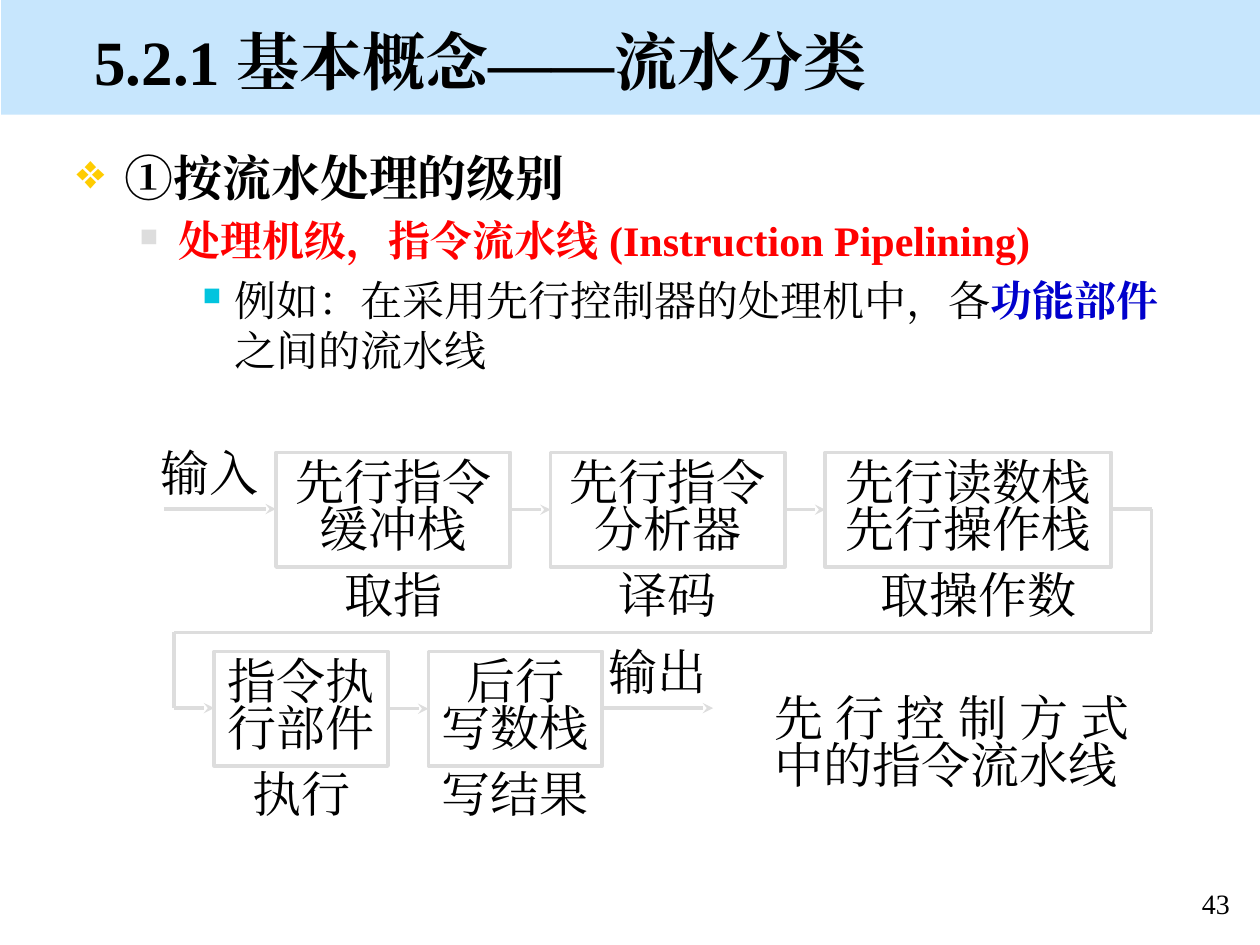
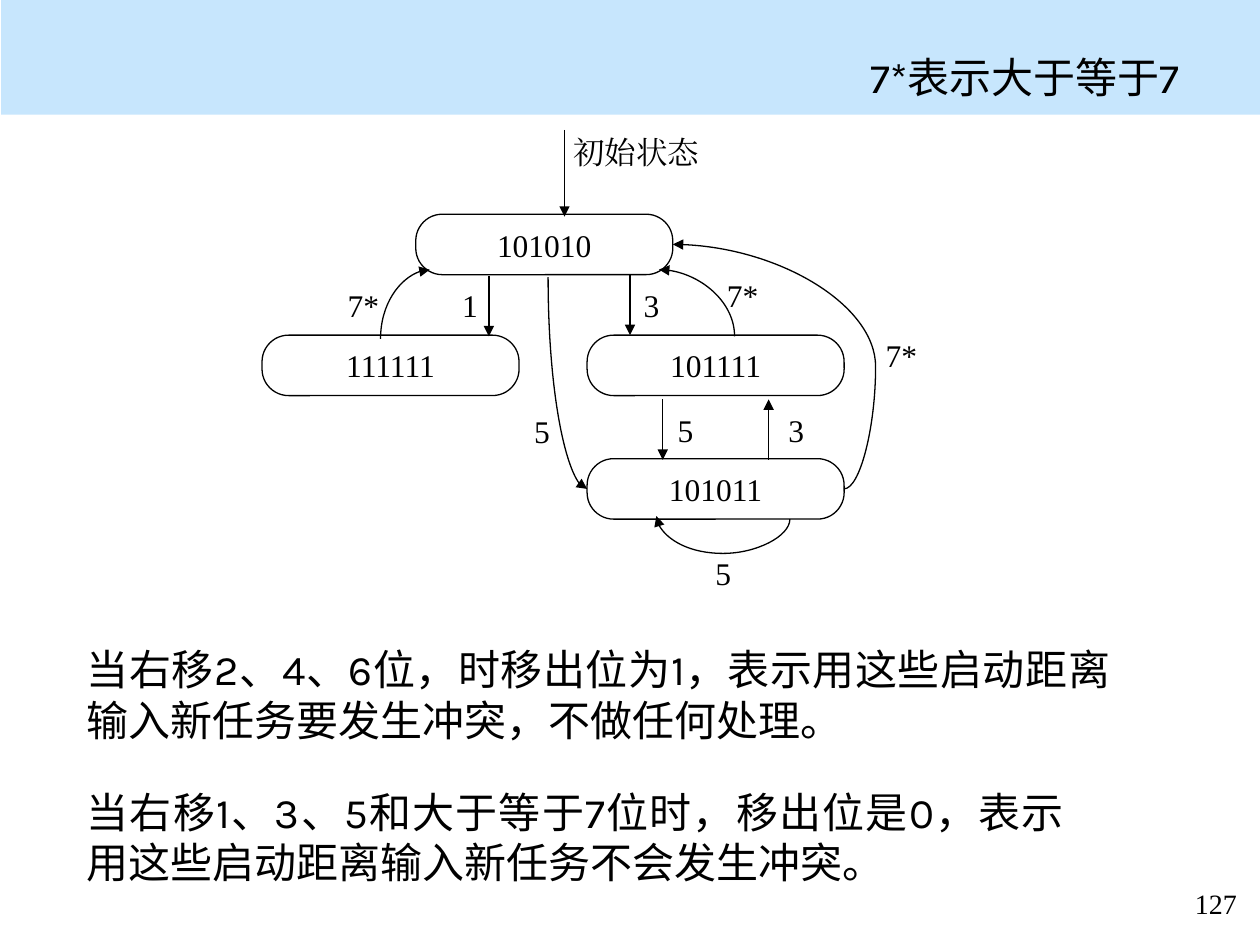
import math

import pptx
import pptx.dml.color
import pptx.enum.shapes
import pptx.enum.text
import pptx.oxml
import pptx.oxml.ns
import pptx.util

COLUMNS, ROWS = 100, 75
COLORS = {
    "band": "C7E6FD", "ink": "000000", "rule": "DDDDDD", "gold": "FFCC00",
    "cyan": "02C4DE", "red": "FF0000", "blue": "0000CC",
}
SERIF, BOOK, SANS, CJK = "Times New Roman", "TeX Gyre Pagella", "Karla", "Noto Sans CJK SC"
ALIGN = {
    "left": pptx.enum.text.PP_ALIGN.LEFT, "center": pptx.enum.text.PP_ALIGN.CENTER,
    "justify": pptx.enum.text.PP_ALIGN.JUSTIFY,
}
SHAPES = pptx.enum.shapes.MSO_SHAPE
CONNECTORS = pptx.enum.shapes.MSO_CONNECTOR


def rgb(name):
    return pptx.dml.color.RGBColor.from_string(COLORS[name])


def add_xml(parent, tag, **attributes):
    child = pptx.oxml.parse_xml(f"<a:{tag} {pptx.oxml.ns.nsdecls('a')}/>")
    for key, value in attributes.items():
        child.set(key, str(value))
    parent.append(child)
    return child


def write(paragraph, text, font=SERIF, size=18, color="ink", bold=False,
          east=None, align=None, spacing=None):
    """Add text to a paragraph; a newline becomes a line break."""
    if align:
        paragraph.alignment = ALIGN[align]
    if spacing:
        paragraph.line_spacing = spacing
    for number, line in enumerate(text.split("\n")):
        if number:
            paragraph.add_line_break()
        run = paragraph.add_run()
        run.text = line
        run.font.name = font
        run.font.size = pptx.util.Pt(size)
        run.font.bold = bold
        run.font.color.rgb = rgb(color)
        add_xml(run.font._element, "ea", typeface=east or font)


class Deck:
    def __init__(self):
        self.show = pptx.Presentation()
        self.show.slide_width = pptx.util.Inches(10)
        self.show.slide_height = pptx.util.Inches(7.5)
        self.slide = None

    def x(self, columns):
        return round(self.show.slide_width * columns / COLUMNS)

    def y(self, rows):
        return round(self.show.slide_height * rows / ROWS)

    def place(self, left, top, width, height):
        return self.x(left), self.y(top), self.x(width), self.y(height)

    def new_slide(self, number):
        """Blank slide with the shared band and page number."""
        self.slide = self.show.slides.add_slide(self.show.slide_layouts[6])
        self.box((0.1, 0, 99.9, 9.1), fill="band")
        self.text((93, 69.9, 7, 3.3), str(number), size=16, align="center")

    def frame(self, shape, wrap, middle, grow, inset):
        frame = shape.text_frame
        frame.word_wrap = wrap
        anchors = pptx.enum.text.MSO_ANCHOR
        frame.vertical_anchor = anchors.MIDDLE if middle else anchors.TOP
        sizes = pptx.enum.text.MSO_AUTO_SIZE
        frame.auto_size = sizes.SHAPE_TO_FIT_TEXT if grow else sizes.NONE
        frame.margin_left = frame.margin_right = self.x(inset)
        frame.margin_top = frame.margin_bottom = self.y(inset / 2)
        return frame

    def text(self, area, text="", wrap=True, middle=False, grow=False, inset=1, **style):
        shape = self.slide.shapes.add_textbox(*self.place(*area))
        frame = self.frame(shape, wrap, middle, grow, inset)
        if text:
            write(frame.paragraphs[0], text, **style)
        return frame

    def box(self, area, text="", fill=None, line=None, weight=1, corner=None,
            inset=1, **style):
        kind = SHAPES.RECTANGLE if corner is None else SHAPES.ROUNDED_RECTANGLE
        shape = self.slide.shapes.add_shape(kind, *self.place(*area))
        shape.shadow.inherit = False
        if corner is not None:
            shape.adjustments[0] = corner
        if fill:
            shape.fill.solid()
            shape.fill.fore_color.rgb = rgb(fill)
        else:
            shape.fill.background()
        if line:
            shape.line.color.rgb = rgb(line)
            shape.line.width = pptx.util.Pt(weight)
        else:
            shape.line.fill.background()
        if text:
            frame = self.frame(shape, False, True, False, inset)
            write(frame.paragraphs[0], text, align="center", **style)

    def line(self, start, end, color="ink", weight=0.75, arrow="triangle",
             kind=CONNECTORS.STRAIGHT):
        connector = self.slide.shapes.add_connector(
            kind, self.x(start[0]), self.y(start[1]), self.x(end[0]), self.y(end[1]))
        connector.line.color.rgb = rgb(color)
        connector.line.width = pptx.util.Pt(weight)
        properties = connector._element.spPr
        if arrow:
            outline = properties.find(pptx.oxml.ns.qn("a:ln"))
            add_xml(outline, "tailEnd", type=arrow)
        add_xml(properties, "effectLst")
        return properties

    def curve(self, start, end, turn=0, bulge=None):
        """Curved arrow leaving start in direction turn (degrees clockwise).

        With a bulge it first swings that far beyond start, then comes back.
        """
        middle_x, middle_y = (start[0] + end[0]) / 2, (start[1] + end[1]) / 2
        cos, sin = math.cos(math.radians(turn)), math.sin(math.radians(turn))
        dx, dy = start[0] - middle_x, start[1] - middle_y
        # The connector is stored unturned, about the same centre
        ux, uy = dx * cos + dy * sin, dy * cos - dx * sin
        properties = self.line((middle_x + ux, middle_y + uy),
                               (middle_x - ux, middle_y - uy), kind=CONNECTORS.CURVE)
        properties.find(pptx.oxml.ns.qn("a:xfrm")).set("rot", str(turn * 60000))
        geometry = properties.find(pptx.oxml.ns.qn("a:prstGeom"))
        if bulge is None:
            geometry.set("prst", "curvedConnector2")
            return
        guides = geometry.find(pptx.oxml.ns.qn("a:avLst"))
        if guides is None:
            guides = add_xml(geometry, "avLst")
        share = round(-bulge / abs(2 * ux) * 100000)
        add_xml(guides, "gd", name="adj1", fmla=f"val {share}")

    def outline(self, area, points):
        """Bulleted list; each point is (mark, mark style, indents, runs)."""
        frame = self.text(area)
        for number, (mark, color, percent, left, hang, runs) in enumerate(points):
            paragraph = frame.add_paragraph() if number else frame.paragraphs[0]
            paragraph.level = number
            if number:
                paragraph.space_before = pptx.util.Pt(5)
            properties = paragraph._p.get_or_add_pPr()
            properties.set("marL", str(self.x(left)))
            properties.set("indent", str(-self.x(hang)))
            add_xml(add_xml(properties, "buClr"), "srgbClr", val=COLORS[color])
            add_xml(properties, "buSzPct", val=percent * 1000)
            add_xml(properties, "buChar", char=mark)
            for text, style in runs:
                write(paragraph, text, east=SERIF, **style)


# Instruction pipeline parts
LABEL = dict(font=BOOK, size=28, spacing=0.8, inset=0.8)
RULE = dict(color="rule", weight=2)
STAGE_HEIGHT, STAGE_GAP = 9.1, 3.2


def label(deck, area, text, align="center"):
    deck.text(area, text, wrap=False, middle=True, align=align, **LABEL)


def stage_row(deck, left, top, stages):
    """Stages side by side with arrows between and captions below."""
    middle = top + STAGE_HEIGHT / 2
    for number, (unit, step, width, shift) in enumerate(stages):
        if number:
            deck.line((left - STAGE_GAP, middle), (left, middle), arrow="stealth", **RULE)
        deck.box((left, top, width, STAGE_HEIGHT), unit, line="rule", weight=2, **LABEL)
        label(deck, (left + shift, top + 9, width, 5.3), step)
        left += width + STAGE_GAP


def pipeline_slide(deck):
    deck.new_slide(43)
    deck.text((6.5, 1.3, 85.8, 6.7), "5.2.1 基本概念——流水分类", size=36, bold=True)
    plain = dict(font=CJK, size=24)
    deck.outline((5.1, 11.2, 90, 20.2), [
        ("❖", "gold", 100, 3.8, 3.8, [
            ("①", dict(font="Calibri", size=28, bold=True)),
            ("按流水处理的级别", dict(size=28, bold=True))]),
        ("■", "rule", 60, 8.1, 3.1, [
            ("处理机级，指令流水线 (Instruction Pipelining)",
             dict(size=24, color="red", bold=True))]),
        ("■", "cyan", 60, 12.5, 2.5, [
            ("例如：在采用先行控制器的处理机中，各", plain),
            ("功能部件", dict(plain, color="blue", bold=True)),
            ("之间的流水线", plain)]),
    ])

    # Stages
    stage_row(deck, 21.9, 35.9, [
        ("先行指令\n缓冲栈", "取指", 18.6, 0),
        ("先行指令\n分析器", "译码", 18.6, 0),
        ("先行读数栈\n先行操作栈", "取操作数", 22.7, 0.8)])
    stage_row(deck, 17, 51.7, [
        ("指令执\n行部件", "执行", 13.8, 0),
        ("后行\n写数栈", "写结果", 13.8, 0)])

    # Input, return path to the second row, output
    label(deck, (11.4, 35.2, 10.5, 5.3), "输入")
    deck.line((13, 40.4), (21.9, 40.4), arrow="stealth", **RULE)
    path_back = [(88.1, 40.4), (91.4, 40.4), (91.4, 50.2), (13.8, 50.2),
                 (13.8, 56.2), (17, 56.2)]
    for start, end in zip(path_back, path_back[1:]):
        deck.line(start, end, arrow="stealth" if end == path_back[-1] else None, **RULE)
    label(deck, (46.9, 51, 10.5, 5.3), "输出")
    deck.line((47.7, 56.2), (56.6, 56.2), arrow="stealth", **RULE)
    label(deck, (60.7, 54.7, 30.7, 9), "先行控制方式\n中的指令流水线", align="justify")


def state_slide(deck):
    deck.new_slide(127)
    deck.text((68.1, 3.6, 29.1, 5), "7*表示大于等于7", grow=True, font=SANS, size=24)

    # States
    for state, left, top in [("101010", 33, 17), ("111111", 20.8, 26.6),
                             ("101111", 46.6, 26.6), ("101011", 46.6, 36.4)]:
        deck.box((left, top, 20.4, 4.8), state, line="ink", weight=0.75, corner=0.44)

    # Straight transitions: column, from row, to row
    for column, start, end in [(44.8, 10.3, 17.2), (38.8, 21.9, 26.7), (50, 21.8, 26.6),
                               (52.6, 31.7, 36.5), (61, 36.5, 31.7)]:
        deck.line((column, start), (column, end))

    # Curved transitions
    deck.curve((43.5, 22), (46.6, 38.8), turn=90)
    deck.curve((58.3, 26.7), (52.3, 21.4), turn=270)
    deck.curve((30.2, 26.9), (34.1, 21.4), turn=90 + 180)
    deck.curve((67, 38.8), (53.4, 19.4), bulge=2.5)
    deck.curve((62.7, 41.2), (52.1, 40.95), turn=90, bulge=2.7)

    # Shift counts
    for text, left, top, width in [
            ("初始状态", 44.5, 10.1, 12.1), ("1", 35.7, 22.2, 3.3), ("3", 50.1, 22.2, 3.3),
            ("5", 41.4, 32.2, 3.3), ("5", 52.8, 32.1, 3.3), ("3", 61.6, 32.1, 3.3),
            ("5", 55.8, 43.5, 3.3), ("7*", 56.7, 21.4, 4.5), ("7*", 26.6, 22.2, 4.5),
            ("7*", 69.3, 26.2, 4.5)]:
        deck.text((left, top, width, 4), text, wrap=False, grow=True)

    # Explanation
    for top, width, text in [
            (50.6, 83.2, "当右移2、4、6位，时移出位为1，表示用这些启动距离输入新任务要发生冲突，不做任何处理。"),
            (61.9, 79.5, "当右移1、3、5和大于等于7位时，移出位是0，表示用这些启动距离输入新任务不会发生冲突。")]:
        deck.text((5.9, top, width, 9.1), text, grow=True, font=SANS, size=24, align="justify")


def main():
    deck = Deck()
    pipeline_slide(deck)
    state_slide(deck)
    deck.show.save("out.pptx")


if __name__ == "__main__":
    main()
